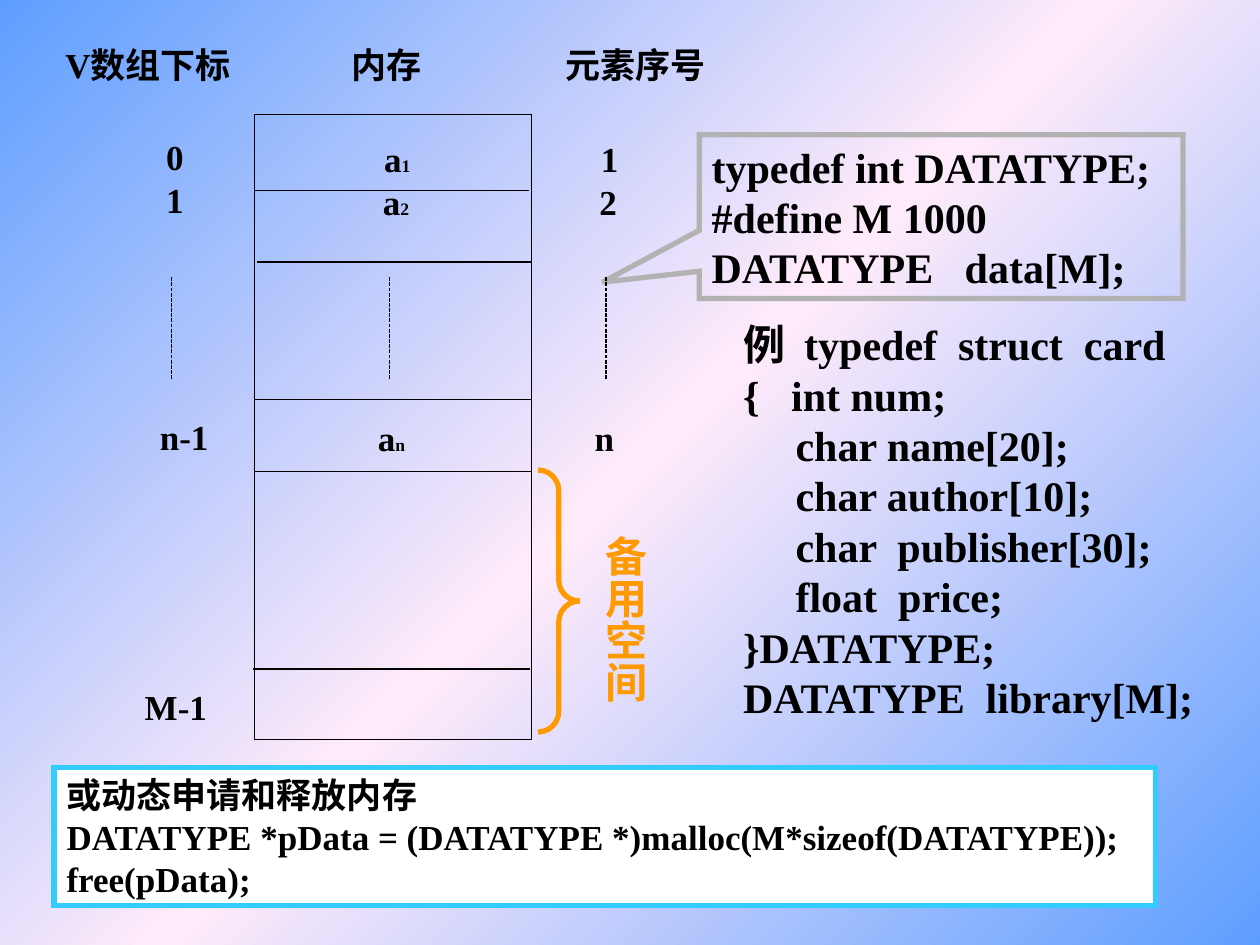
"""Build the slide on storing a sequential list in memory."""
import copy

import pptx
import pptx.dml.color
import pptx.enum.dml
import pptx.enum.shapes
import pptx.enum.text
import pptx.oxml
import pptx.oxml.ns
import pptx.util

Inches = pptx.util.Inches
SHAPES = pptx.enum.shapes.MSO_SHAPE
ANCHORS = pptx.enum.text.MSO_ANCHOR


def color(hex_code):
    """Turn a hex string into a colour."""
    return pptx.dml.color.RGBColor.from_string(hex_code)


def write(shape, paragraphs, size, hex_code="000000", wrap=False, anchor=ANCHORS.TOP):
    """Fill a shape with bold paragraphs, each a list of runs, later runs at 10 pt."""
    frame = shape.text_frame
    frame.word_wrap = wrap
    frame.auto_size = pptx.enum.text.MSO_AUTO_SIZE.SHAPE_TO_FIT_TEXT
    frame.vertical_anchor = anchor
    for number, pieces in enumerate(paragraphs):
        paragraph = frame.add_paragraph() if number else frame.paragraphs[0]
        paragraph.alignment = pptx.enum.text.PP_ALIGN.LEFT
        for position, piece in enumerate(pieces):
            run = paragraph.add_run()
            run.text = piece
            run.font.name = "Times New Roman"
            run.font.size = pptx.util.Pt(10 if position else size)
            run.font.bold = True
            run.font.color.rgb = color(hex_code)


presentation = pptx.Presentation()
presentation.slide_width = Inches(10)
presentation.slide_height = Inches(7.5)
slide = presentation.slides.add_slide(presentation.slide_layouts[6])

backdrop = slide.background.fill
backdrop.gradient()
backdrop.gradient_angle = 135
stop_list = slide.element.find(".//" + pptx.oxml.ns.qn("a:gsLst"))
stop_list.append(copy.deepcopy(stop_list[0]))
for stop, (position, hex_code) in zip(
    backdrop.gradient_stops, [(0, "5E9EFF"), (0.5, "FFEBFA"), (1, "5E9EFF")]
):
    stop.position = position
    stop.color.rgb = color(hex_code)

outlined = []
for preset, left, top, width, height, hex_code, weight in [
    (SHAPES.RECTANGLE, 2.02, 0.91, 2.2, 4.96, "000000", 0.75),
    (SHAPES.RECTANGULAR_CALLOUT, 5.55, 1.07, 3.84, 1.3, "B2B2B2", 3),
    (SHAPES.RIGHT_BRACE, 4.27, 3.73, 0.33, 2.08, "FF9900", 3),
    (SHAPES.RECTANGLE, 0.43, 6.09, 8.74, 1.1, "33CCFF", 3),
]:
    shape = slide.shapes.add_shape(
        preset, Inches(left), Inches(top), Inches(width), Inches(height)
    )
    shape.shadow.inherit = False
    shape.fill.background()
    shape.line.color.rgb = color(hex_code)
    shape.line.width = pptx.util.Pt(weight)
    shape.element.spPr.find(pptx.oxml.ns.qn("a:ln")).append(pptx.oxml.parse_xml(
        '<a:miter %s lim="800000"/>' % pptx.oxml.ns.nsdecls("a")
    ))
    outlined.append(shape)
memory, declaration, spare_brace, allocation = outlined

row_lines = [
    (left, y, left + width, y)
    for left, y, width in [
        (2.02, 1.51, 2.18),
        (2.04, 2.08, 2.18),
        (2.02, 3.17, 2.2),
        (2.02, 3.74, 2.2),
        (2.01, 5.31, 2.2),
    ]
]
ellipsis_lines = [(x, 2.2, x, 3.01) for x in (1.36, 3.09, 4.81)]
for ends in row_lines + ellipsis_lines:
    divider = slide.shapes.add_connector(
        pptx.enum.shapes.MSO_CONNECTOR.STRAIGHT, *[Inches(value) for value in ends]
    )
    divider.line.color.rgb = color("000000")
    divider.line.width = pptx.util.Pt(0.75)
    if ends in ellipsis_lines:
        divider.line.dash_style = pptx.enum.dml.MSO_LINE.SQUARE_DOT
    divider.element.spPr.append(pptx.oxml.parse_xml(
        "<a:effectLst %s/>" % pptx.oxml.ns.nsdecls("a")
    ))

for left, top, width, pieces in [
    (0.42, 0.3, 1.64, ["V数组下标"]),
    (2.69, 0.3, 0.81, ["内存"]),
    (4.39, 0.3, 1.37, ["元素序号"]),
    (1.22, 1.03, 0.4, ["0"]),
    (2.95, 1.04, 0.47, ["a", "1"]),
    (4.67, 1.04, 0.4, ["1"]),
    (1.22, 1.37, 0.4, ["1"]),
    (2.94, 1.38, 0.47, ["a", "2"]),
    (4.66, 1.38, 0.4, ["2"]),
    (1.17, 3.25, 0.64, ["n-1"]),
    (2.9, 3.26, 0.47, ["a", "n"]),
    (4.62, 3.26, 0.41, ["n"]),
    (1.05, 5.39, 0.75, ["M-1"]),
]:
    label = slide.shapes.add_textbox(
        Inches(left), Inches(top), Inches(width), Inches(0.44)
    )
    write(label, [pieces], 20)

declaration.adjustments[0] = -0.7
declaration.adjustments[1] = 0.4
write(
    declaration,
    [["typedef int DATATYPE; #define M 1000"], ["DATATYPE   data[M];"]],
    24, wrap=True, anchor=ANCHORS.MIDDLE,
)

struct_example = slide.shapes.add_textbox(
    Inches(5.8), Inches(2.48), Inches(3.93), Inches(3.3)
)
write(
    struct_example,
    [
        ["例  typedef  struct  card"],
        ["{   int num;"],
        ["     char name[20];"],
        ["     char author[10];"],
        ["     char  publisher[30];"],
        ["     float  price;"],
        ["}DATATYPE;"],
        ["DATATYPE  library[M];"],
    ],
    24, anchor=ANCHORS.MIDDLE,
)

spare_brace.adjustments[0] = 0.5
spare_space = slide.shapes.add_textbox(
    Inches(4.61), Inches(4.15), Inches(0.6), Inches(1.55)
)
write(spare_space, [["备用空间"]], 24, "FF9900", wrap=True)
spare_space.element.txBody.bodyPr.set("vert", "eaVert")
spare_space.text_frame.margin_left = spare_space.text_frame.margin_right = Inches(0.05)
spare_space.text_frame.margin_top = spare_space.text_frame.margin_bottom = Inches(0.1)

allocation.fill.solid()
allocation.fill.fore_color.rgb = color("FFFFFF")
write(
    allocation,
    [
        ["或动态申请和释放内存"],
        ["DATATYPE *pData = (DATATYPE *)malloc(M*sizeof(DATATYPE));"],
        ["free(pData);"],
    ],
    20, anchor=ANCHORS.MIDDLE,
)

presentation.save("out.pptx")
